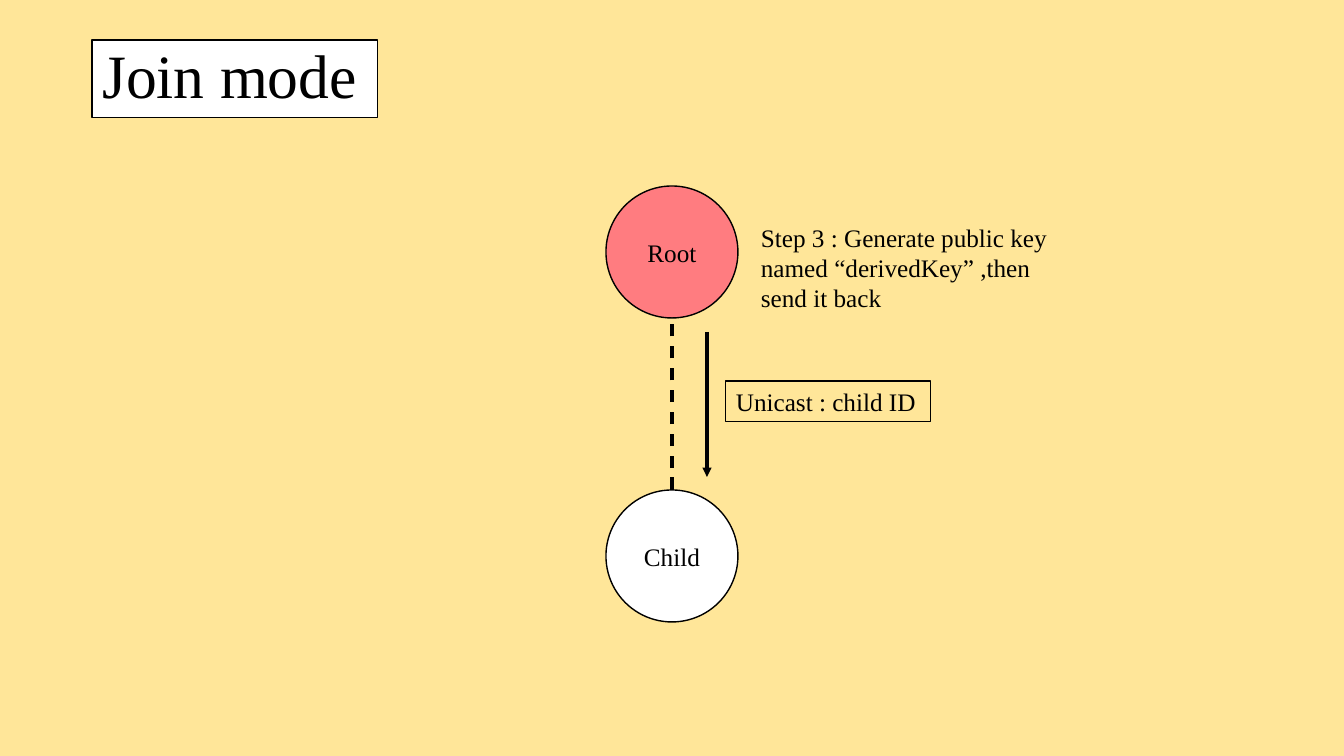
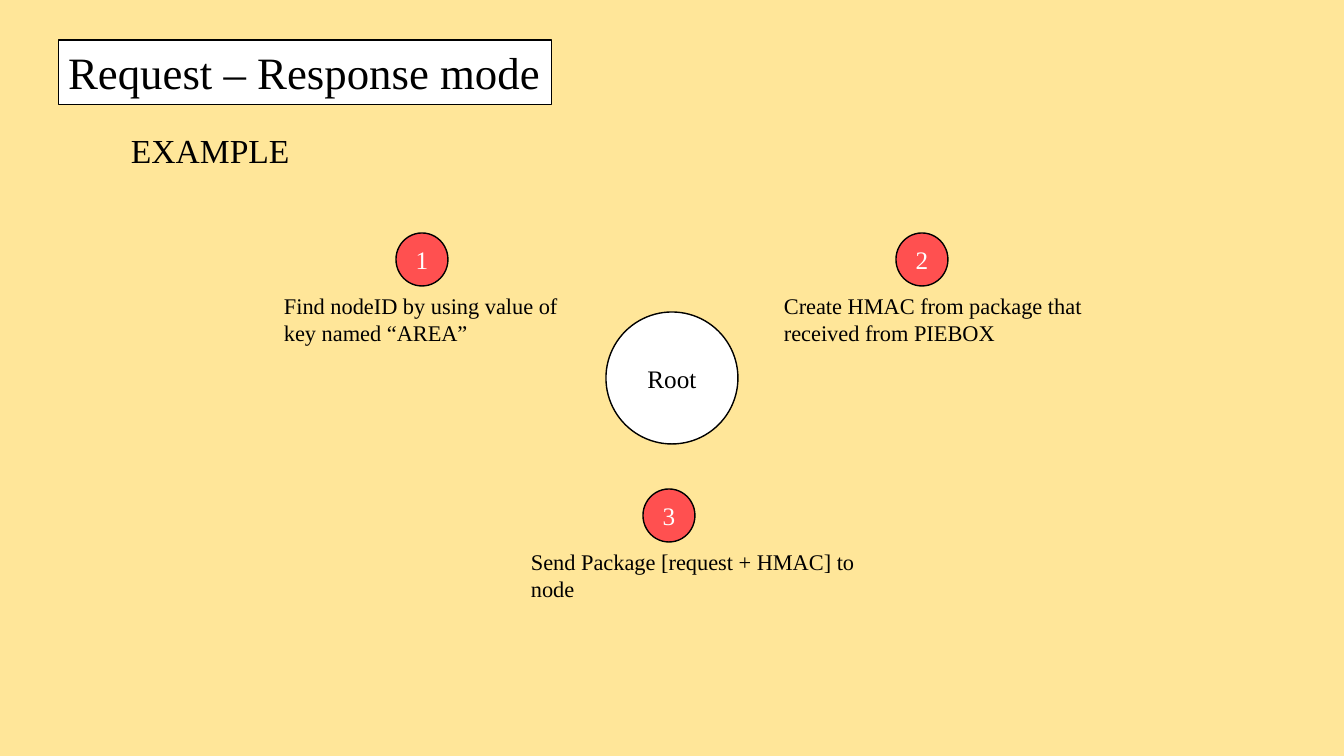
from pptx import Presentation
from pptx.dml.color import RGBColor
from pptx.enum.dml import MSO_LINE
from pptx.enum.shapes import MSO_CONNECTOR, MSO_SHAPE
from pptx.enum.text import MSO_ANCHOR, MSO_AUTO_SIZE, PP_ALIGN
from pptx.oxml.ns import qn
from pptx.util import Pt
from lxml.etree import SubElement

PIXEL = 914400 / 100.8
WIDTH, HEIGHT = 1344, 756
CENTER = WIDTH // 2
NODE = 132
BADGE_WIDTH, BADGE_HEIGHT = 52, 53
FONT = "Times New Roman"
COLORS = {
    "background": "FFE699",
    "black": "000000",
    "white": "FFFFFF",
    "active": "FF7C80",
    "badge": "FF5050",
}


def px(value):
    return round(value * PIXEL)


def color(name):
    return RGBColor.from_string(COLORS[name])


def set_all(target, values):
    for name, value in values.items():
        setattr(target, name, value)


def place(shape, left, top, width, height):
    set_all(shape, {"left": px(left), "top": px(top),
                    "width": px(width), "height": px(height)})


def outline(shape, points):
    shape.line.color.rgb = color("black")
    shape.line.width = Pt(points)


def fill(shape, name):
    shape.fill.solid()
    shape.fill.fore_color.rgb = color(name)


def write(shape, text, size, ink="black", align=PP_ALIGN.LEFT,
          anchor=MSO_ANCHOR.TOP, spacing=1.0):
    frame = shape.text_frame
    set_all(frame, {"word_wrap": True, "auto_size": MSO_AUTO_SIZE.NONE,
                    "vertical_anchor": anchor})
    para = frame.paragraphs[0]
    set_all(para, {"alignment": align, "line_spacing": spacing})
    span = para.add_run()
    span.text = text
    set_all(span.font, {"name": FONT, "size": Pt(size)})
    span.font.color.rgb = color(ink)


def add_page(deck, title, area, size, **format_values):
    """Add a page with its framed white title."""
    page = deck.slides.add_slide(deck.slide_layouts[5])
    box = page.shapes.title
    place(box, *area)
    fill(box, "white")
    outline(box, 0.75)
    write(box, title, size, **format_values)
    return page


def add_text(page, text, area, size, framed=False):
    box = page.shapes.add_textbox(0, 0, 0, 0)
    place(box, *area)
    if framed:
        outline(box, 0.75)
    write(box, text, size)


def add_circle(page, text, area, paint, ink="black"):
    circle = page.shapes.add_shape(MSO_SHAPE.OVAL, 0, 0, 0, 0)
    place(circle, *area)
    circle.shadow.inherit = False
    fill(circle, paint)
    outline(circle, 1)
    # Small badges need the whole width for their digit
    set_all(circle.text_frame, {"margin_left": 0, "margin_right": 0})
    write(circle, text, 18, ink, PP_ALIGN.CENTER, MSO_ANCHOR.MIDDLE)


def add_node(page, text, top, paint="white"):
    add_circle(page, text, (CENTER - NODE / 2, top, NODE, NODE), paint)


def add_line(page, x, start, end, dashed=False, arrow=False):
    line = page.shapes.add_connector(
        MSO_CONNECTOR.STRAIGHT, px(x), px(start), px(x), px(end))
    outline(line, 2.25)
    if dashed:
        line.line.dash_style = MSO_LINE.DASH
    if arrow:
        SubElement(line.line._get_or_add_ln(), qn("a:tailEnd"), type="triangle")
    SubElement(line._element.spPr, qn("a:effectLst"))


def add_step(page, number, text, left, top, width):
    """Add a step text with its numbered badge above."""
    add_text(page, text, (left, top, width, 65), 16)
    add_circle(page, str(number),
               (left + 122, top - 54, BADGE_WIDTH, BADGE_HEIGHT), "badge", "white")


def build_join(deck):
    page = add_page(deck, "Join mode", (92, 40, 286, 78), 44,
                    anchor=MSO_ANCHOR.MIDDLE, spacing=0.9)
    # Nodes and the link between them
    root_top, child_top = 186, 490
    add_node(page, "Root", root_top, "active")
    add_node(page, "Child", child_top)
    add_line(page, CENTER, child_top, root_top + NODE, dashed=True)
    # Message to the child
    add_text(page, "Step 3 : Generate public key named “derivedKey” ,then send it back",
             (751, 217, 308, 102), 18)
    add_line(page, 707, 332, 477, arrow=True)
    add_text(page, "Unicast : child ID", (726, 381, 205, 41), 18, framed=True)


def build_request(deck):
    page = add_page(deck, "Request – Response mode", (58, 40, 494, 65), 32)
    add_text(page, "EXAMPLE", (121, 125, 302, 50), 24)
    add_node(page, "Root", (HEIGHT - NODE) / 2)
    # Numbered steps around the root
    steps = [
        ("Find nodeID by using value of key named “AREA”", 274, 287, 296),
        ("Create HMAC from package that received from PIEBOX", 774, 287, 327),
        ("Send Package [request + HMAC] to node", 521, 543, 356),
    ]
    for number, step in enumerate(steps, 1):
        add_step(page, number, *step)


def main():
    deck = Presentation()
    set_all(deck, {"slide_width": px(WIDTH), "slide_height": px(HEIGHT)})
    fill(deck.slide_master.background, "background")
    build_join(deck)
    build_request(deck)
    deck.save("out.pptx")


main()
